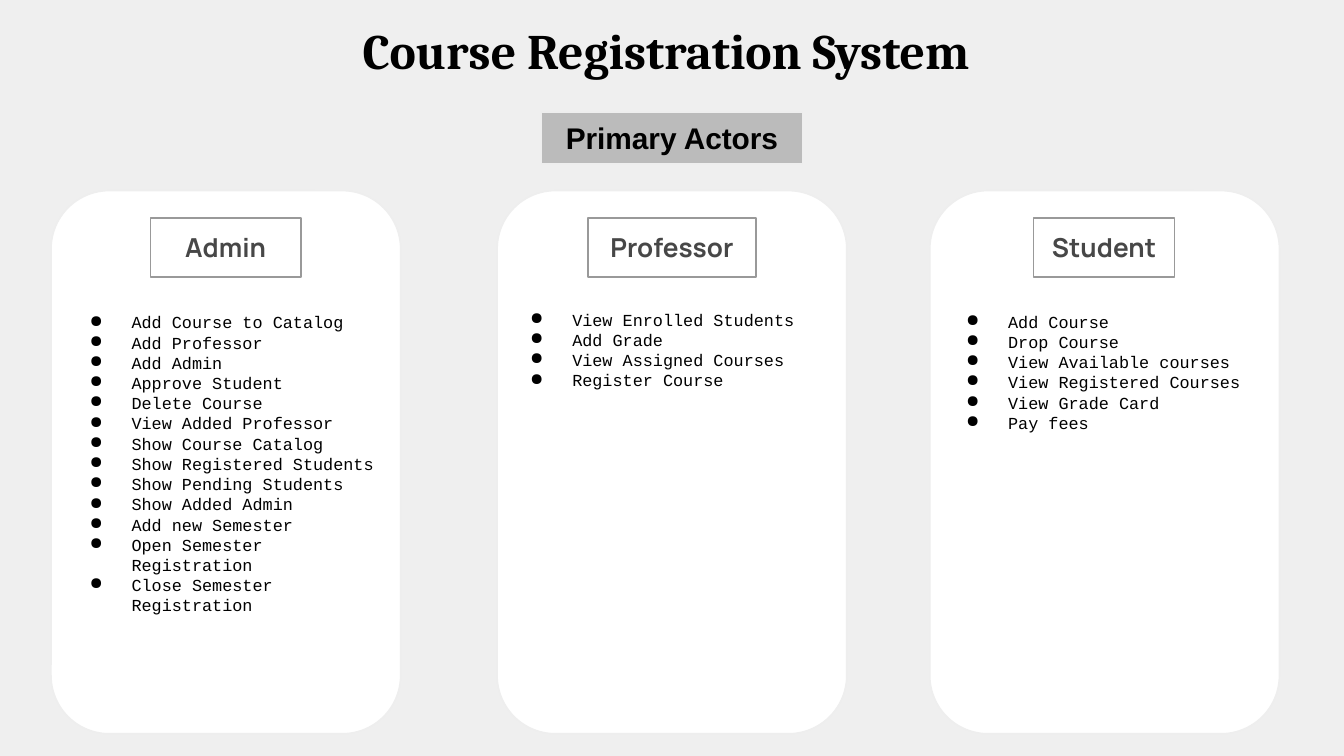
from pptx import Presentation
from pptx.dml.color import RGBColor
from pptx.enum.shapes import MSO_SHAPE as Shape
from pptx.enum.text import MSO_ANCHOR as Anchor, MSO_AUTO_SIZE as AutoSize, PP_ALIGN as Align
from pptx.oxml.ns import qn
from pptx.util import Pt
from lxml.etree import SubElement

BLACK = RGBColor(0x00, 0x00, 0x00)
WHITE = RGBColor(0xFF, 0xFF, 0xFF)
BACKGROUND = RGBColor(0xEF, 0xEF, 0xEF)
PALE_LINE = RGBColor(0xEE, 0xEE, 0xEE)
BANNER_GRAY = RGBColor(0xBB, 0xBB, 0xBB)
BORDER_GRAY = RGBColor(0x99, 0x99, 0x99)
HEADING_GRAY = RGBColor(0x47, 0x47, 0x47)

CARD_TOP, CARD_WIDTH, CARD_HEIGHT = 102.2, 187.2, 290.9
HEADING_TOP, HEADING_HEIGHT = 116.8, 31.6

ACTORS = [
    {
        "name": "Admin", "card_left": 27.4, "heading": (80.6, 80.6),
        "list_box": (27.4, 160, 187.2, 178),
        "actions": [
            "Add Course to Catalog", "Add Professor", "Add Admin", "Approve Student",
            "Delete Course", "View Added Professor", "Show Course Catalog",
            "Show Registered Students", "Show Pending Students", "Show Added Admin",
            "Add new Semester", "Open Semester Registration", "Close Semester Registration",
        ],
    },
    {
        "name": "Professor", "card_left": 266.4, "heading": (315, 90),
        "list_box": (263.5, 158.6, 184.3, 58.3),
        "actions": ["View Enrolled Students", "Add Grade", "View Assigned Courses", "Register Course"],
    },
    {
        "name": "Student", "card_left": 498.2, "heading": (553.7, 75.6),
        "list_box": (497, 159.6, 177.1, 79.9),
        "actions": [
            "Add Course", "Drop Course", "View Available courses",
            "View Registered Courses", "View Grade Card", "Pay fees",
        ],
    },
]


class SlideBuilder:
    formats = {
        "title": {"name": "Cambria", "size": Pt(26.6), "bold": True, "color": BLACK},
        "banner": {"name": "Arial", "size": Pt(16), "bold": True, "color": BLACK},
        "heading": {"name": "Manrope", "size": Pt(14), "bold": True, "color": HEADING_GRAY},
        "list": {"name": "Courier New", "size": Pt(9), "bold": False, "color": BLACK},
    }
    frame_format = {
        "word_wrap": True,
        "margin_left": Pt(7.2), "margin_right": Pt(7.2),
        "margin_top": Pt(7.2), "margin_bottom": Pt(7.2),
    }

    def __init__(self, slide):
        self.slide = slide
        slide.background.fill.solid()
        slide.background.fill.fore_color.rgb = BACKGROUND

    def fill_text(self, shape, lines, style, alignment, anchor=Anchor.TOP, bulleted=False):
        frame = shape.text_frame
        for name, value in self.frame_format.items():
            setattr(frame, name, value)
        frame.auto_size = AutoSize.NONE
        frame.vertical_anchor = anchor
        for index, line in enumerate(lines):
            paragraph = frame.add_paragraph() if index else frame.paragraphs[0]
            paragraph.alignment = alignment
            if bulleted:
                self.add_bullet(paragraph)
            run = paragraph.add_run()
            run.text = line
            for name, value in self.formats[style].items():
                if name == "color":
                    run.font.color.rgb = value
                else:
                    setattr(run.font, name, value)

    def add_bullet(self, paragraph):
        properties = paragraph._p.get_or_add_pPr()
        properties.set("marL", str(Pt(36)))
        properties.set("indent", str(-Pt(22.5)))
        color = SubElement(properties, qn("a:buClr"))
        SubElement(color, qn("a:srgbClr"), val=str(BLACK))
        SubElement(properties, qn("a:buChar"), char="●")

    def text(self, box, lines, style, bulleted=False):
        shape = self.slide.shapes.add_textbox(*map(Pt, box))
        self.fill_text(shape, lines, style, Align.LEFT, bulleted=bulleted)

    def panel(self, box, line, fill=None, kind=Shape.RECTANGLE):
        shape = self.slide.shapes.add_shape(kind, *map(Pt, box))
        shape.shadow.inherit = False
        if fill is None:
            shape.fill.background()
        else:
            shape.fill.solid()
            shape.fill.fore_color.rgb = fill
        shape.line.color.rgb = line
        shape.line.width = Pt(0.75)
        return shape

    def label(self, box, text, style, line, fill=None, anchor=Anchor.TOP):
        self.fill_text(self.panel(box, line, fill), [text], style, Align.CENTER, anchor)

    def actor(self, name, card_left, heading, list_box, actions):
        card_box = (card_left, CARD_TOP, CARD_WIDTH, CARD_HEIGHT)
        self.panel(card_box, PALE_LINE, WHITE, Shape.ROUNDED_RECTANGLE)
        heading_left, heading_width = heading
        heading_box = (heading_left, HEADING_TOP, heading_width, HEADING_HEIGHT)
        self.label(heading_box, name, "heading", BORDER_GRAY)
        self.text(list_box, actions, "list", bulleted=True)


def main():
    presentation = Presentation()
    presentation.slide_width, presentation.slide_height = Pt(720), Pt(405)
    builder = SlideBuilder(presentation.slides.add_slide(presentation.slide_layouts[6]))
    builder.text((187.2, 3.6, 434.9, 63.4), ["Course Registration System"], "title")
    builder.label((290.2, 60.1, 139.7, 27.7), "Primary Actors", "banner", PALE_LINE, BANNER_GRAY, Anchor.MIDDLE)
    for actor in ACTORS:
        builder.actor(**actor)
    presentation.save("out.pptx")


if __name__ == "__main__":
    main()
